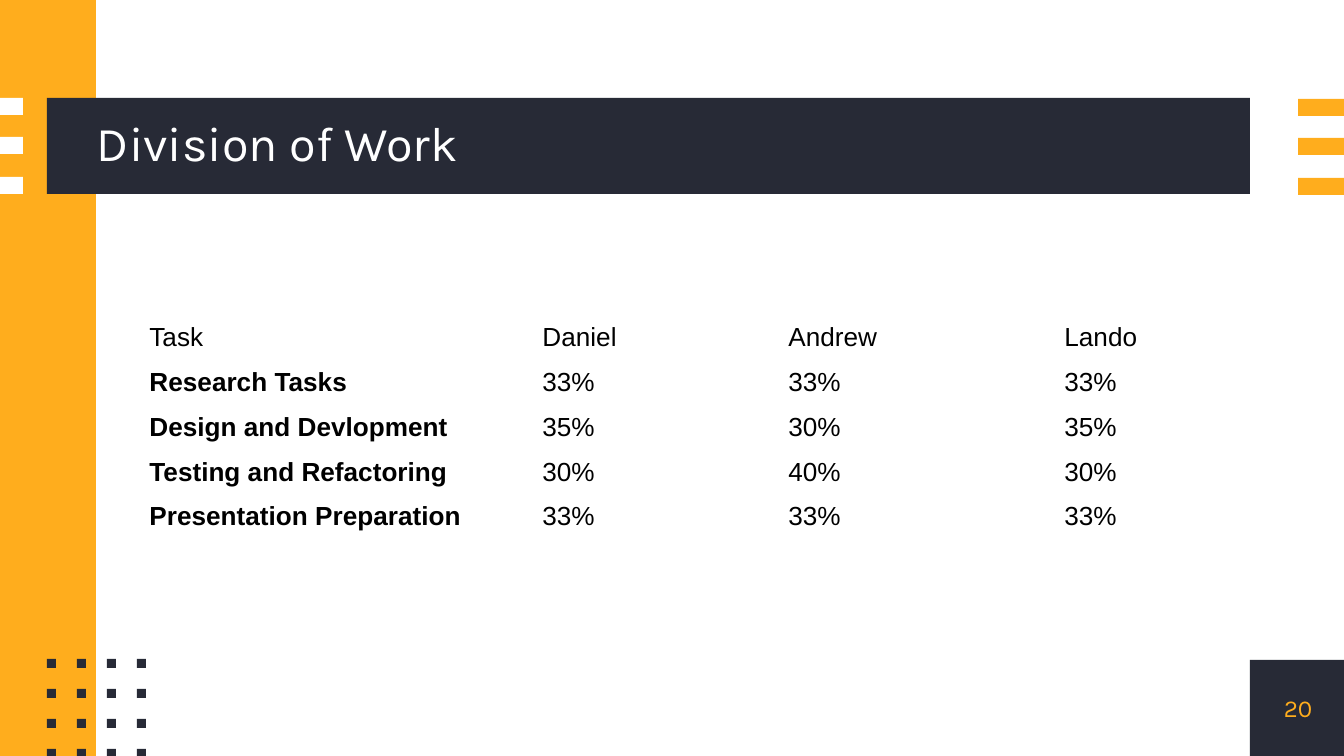
from pptx import Presentation
from pptx.dml.color import RGBColor
from pptx.enum.shapes import MSO_SHAPE
from pptx.enum.text import MSO_ANCHOR, PP_ALIGN
from pptx.util import Emu, Pt

EMU_PER_INCH = 914400
PX_PER_INCH = 134.4
COLORS = {"navy": "272A36", "amber": "FFAD1D", "white": "FFFFFF", "black": "000000"}
COLUMN_WIDTHS = [393, 246, 276, 223]
ROW_HEIGHT = 42
ROWS = [
    ["Task", "Daniel", "Andrew", "Lando"],
    ["Research Tasks", "33%", "33%", "33%"],
    ["Design and Devlopment", "35%", "30%", "35%"],
    ["Testing and Refactoring", "30%", "40%", "30%"],
    ["Presentation Preparation", "33%", "33%", "33%"],
]


def px(length):
    return Emu(round(length * EMU_PER_INCH / PX_PER_INCH))


def color(name):
    return RGBColor.from_string(COLORS[name])


def add_block(slide, left, top, width, height, fill):
    shape = slide.shapes.add_shape(
        MSO_SHAPE.RECTANGLE, px(left), px(top), px(width), px(height)
    )
    shape.shadow.inherit = False
    shape.fill.solid()
    shape.fill.fore_color.rgb = color(fill)
    shape.line.fill.background()


def add_stripes(slide, left, top, width, fill):
    for index in range(3):
        add_block(slide, left, top + index * 79 // 2, width, 17, fill)


def add_dots(slide, left, top, step, size):
    for row in range(4):
        for column in range(4):
            add_block(slide, left + column * step, top + row * step, size, size, "navy")


def format_runs(paragraph, font, size, fill, bold=False):
    for run in paragraph.runs:
        run.font.name = font
        run.font.size = Pt(size)
        run.font.bold = bold
        run.font.color.rgb = color(fill)


def fill_text(shape, text, size, fill, alignment):
    frame = shape.text_frame
    frame.text = text
    frame.word_wrap = True
    frame.vertical_anchor = MSO_ANCHOR.MIDDLE
    frame.margin_left = frame.margin_right = 0
    frame.margin_top = frame.margin_bottom = 0
    paragraph = frame.paragraphs[0]
    paragraph.alignment = alignment
    format_runs(paragraph, "Karla", size, fill)
    return paragraph


def place_title(slide, text):
    title = slide.shapes.title
    title.left, title.top = px(97), px(98)
    title.width, title.height = px(1153), px(96)
    paragraph = fill_text(title, text, 26, "white", PP_ALIGN.LEFT)
    paragraph.line_spacing = 0.9
    slide.shapes.element.append(title.element)


def add_page_number(slide, text):
    box = slide.shapes.add_textbox(px(1250), px(660), px(96), px(96))
    fill_text(box, text, 13, "amber", PP_ALIGN.CENTER)


def add_work_table(slide, left, top):
    table = slide.shapes.add_table(
        len(ROWS), len(COLUMN_WIDTHS), px(left), px(top),
        px(sum(COLUMN_WIDTHS)), px(ROW_HEIGHT * len(ROWS)),
    ).table
    table.first_row = False
    table.horz_banding = False
    for column, width in zip(table.columns, COLUMN_WIDTHS):
        column.width = px(width)
    for row_index, values in enumerate(ROWS):
        table.rows[row_index].height = px(ROW_HEIGHT)
        for column_index, value in enumerate(values):
            cell = table.cell(row_index, column_index)
            cell.fill.background()
            cell.vertical_anchor = MSO_ANCHOR.MIDDLE
            cell.text_frame.text = value
            is_task = row_index > 0 and column_index == 0
            format_runs(cell.text_frame.paragraphs[0], "Arial", 14, "black", is_task)


def main():
    presentation = Presentation()
    presentation.slide_width, presentation.slide_height = px(1344), px(756)
    slide = presentation.slides.add_slide(presentation.slide_layouts[5])
    add_block(slide, 1250, 660, 96, 96, "navy")
    add_block(slide, 0, 0, 96, 756, "amber")
    add_block(slide, 47, 98, 1203, 96, "navy")
    add_stripes(slide, 0, 98, 23, "white")
    add_dots(slide, 47, 659, 30, 9)
    add_stripes(slide, 1298, 99, 46, "amber")
    place_title(slide, "Division of Work")
    add_page_number(slide, "20")
    add_work_table(slide, 136, 315)
    presentation.save("out.pptx")


if __name__ == "__main__":
    main()
